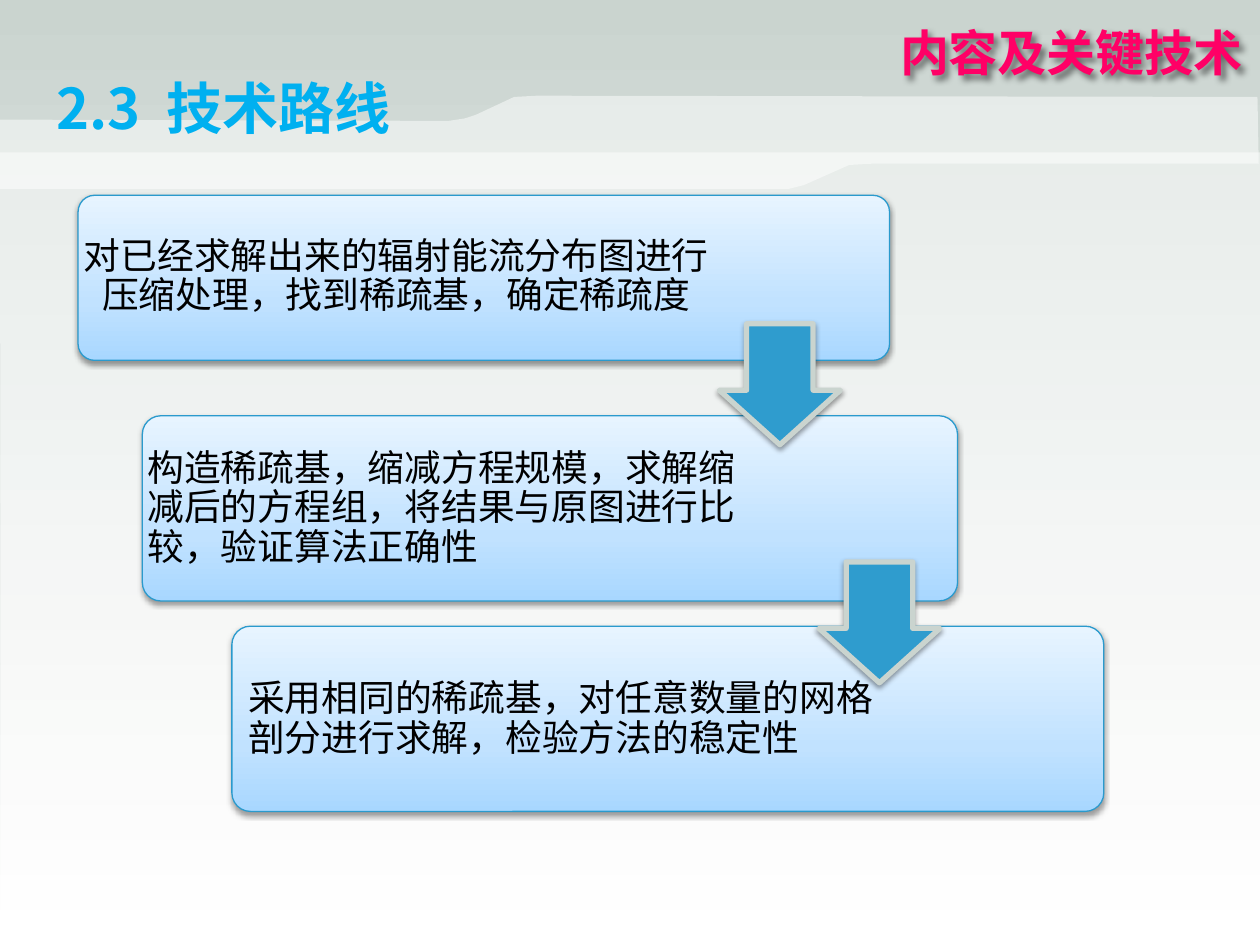
from copy import deepcopy
from dataclasses import dataclass

from lxml.etree import SubElement
from pptx import Presentation
from pptx.dml.color import RGBColor
from pptx.enum.shapes import MSO_SHAPE
from pptx.enum.text import MSO_ANCHOR, MSO_AUTO_SIZE, PP_ALIGN
from pptx.oxml.ns import qn
from pptx.util import Inches, Pt


@dataclass(frozen=True)
class Theme:
    font: str = "Noto Sans CJK SC"
    title_size: int = 32
    chapter_size: int = 28
    body_size: int = 21
    title: str = "00B0F0"
    chapter: str = "FF0066"
    body: str = "000000"
    mist: str = "CAD4CF"
    white: str = "FFFFFF"
    step_line: str = "2A9ACD"
    arrow: str = "2F9CCE"
    step_stops: tuple = ((0, "A8D7FF"), (0.35, "C1E2FF"), (1, "E7F4FF"))


THEME = Theme()
NO_INSETS = (0, 0, 0, 0)

# Box, text area, text inset, alignment and wording of each step
STEPS = [
    ((0.62, 1.55, 6.44, 1.31), (0.66, 1.58, 4.97, 1.24), 0, PP_ALIGN.CENTER,
     "对已经求解出来的辐射能流分布图进行压缩处理，找到稀疏基，确定稀疏度"),
    ((1.13, 3.3, 6.47, 1.47), (1.17, 3.35, 4.92, 1.38), 0, PP_ALIGN.LEFT,
     "构造稀疏基，缩减方程规模，求解缩减后的方程组，将结果与原图进行比较，验证算法正确性"),
    ((1.84, 4.97, 6.92, 1.47), (1.88, 5.02, 5.26, 1.38), 0.09, PP_ALIGN.LEFT,
     "采用相同的稀疏基，对任意数量的网格剖分进行求解，检验方法的稳定性"),
]
ARROWS = [(5.71, 2.57), (6.5, 4.46)]
ARROW_SIZE = 0.96

LOWER_VEIL = [(0.01, 7.49), (10.03, 7.5), (10, 1.21), (0, 1.21)]
HEADER_BAND = [
    (9.98, 0.77), (4.26, 0.76), (4.08, 0.77), (3.78, 0.91), (3.69, 0.94),
    (3.56, 0.96), (0, 0.95), (0, 1.5), (6.26, 1.5), (6.38, 1.47),
    (6.74, 1.31), (6.92, 1.3), (9.99, 1.3),
]


def color(value):
    return RGBColor.from_string(value)


def inches(values):
    return [Inches(value) for value in values]


def fill_gradient(fill, owner, stops, angle):
    """Fill with any number of stops; owner is the XML element holding the fill."""
    fill.gradient()
    fill.gradient_angle = angle
    stop_list = owner.find(".//" + qn("a:gsLst"))
    while len(stop_list) < len(stops):
        stop_list.append(deepcopy(stop_list[0]))
    for stop, (position, value) in zip(fill.gradient_stops, stops):
        stop.position = position
        stop.color.rgb = color(value)


def add_shadow(shape, opacity=38, blur=3.1, distance=1.6, direction=90):
    shape.shadow.inherit = False
    effects = shape.element.spPr.find(qn("a:effectLst"))
    shadow = SubElement(effects, qn("a:outerShdw"), blurRad=str(Pt(blur)),
                        dist=str(Pt(distance)), dir=str(direction * 60000),
                        algn="ctr", rotWithShape="0")
    black = SubElement(shadow, qn("a:srgbClr"), val="000000")
    SubElement(black, qn("a:alpha"), val=str(opacity * 1000))


def add_veil(slide, points):
    """Add a half-transparent white area of the backdrop."""
    start, *others = [inches(point) for point in points]
    builder = slide.shapes.build_freeform(*start)
    builder.add_line_segments(others, close=True)
    veil = builder.convert_to_shape()
    veil.shadow.inherit = False
    veil.line.fill.background()
    veil.fill.solid()
    veil.fill.fore_color.rgb = color(THEME.white)
    SubElement(veil.element.spPr.find(".//" + qn("a:srgbClr")), qn("a:alpha"), val="50000")


def set_frame(shape, insets):
    frame = shape.text_frame
    frame.word_wrap = True
    frame.auto_size = MSO_AUTO_SIZE.NONE
    frame.vertical_anchor = MSO_ANCHOR.MIDDLE
    (frame.margin_left, frame.margin_top,
     frame.margin_right, frame.margin_bottom) = inches(insets)
    return frame.paragraphs[0]


def add_run(paragraph, text, size, value, bold=False):
    run = paragraph.add_run()
    run.text = text
    run.font.size = Pt(size)
    run.font.bold = bold
    run.font.color.rgb = color(value)
    run.font.name = THEME.font
    SubElement(run.font._element, qn("a:ea"), typeface=THEME.font)
    return run


def add_title(slide):
    title = slide.shapes.title
    title.left, title.top, title.width, title.height = inches((0.35, 0.3, 8.9, 1.1))
    title.element.getparent().append(title.element)  # in front of the veils
    paragraph = set_frame(title, (0.1, 0.05, 0.1, 0.05))
    paragraph.alignment = PP_ALIGN.LEFT
    number, gap, name = [add_run(paragraph, text, THEME.title_size, THEME.title, True)
                         for text in ("2.3", " ", "技术路线")]
    gap.font._element.set("spc", "700")


def add_chapter(slide):
    chapter = slide.shapes.add_textbox(*inches((6.27, -0.03, 3.69, 0.94)))
    add_shadow(chapter, opacity=50, blur=4, distance=3, direction=45)
    paragraph = set_frame(chapter, (0.1, 0, 0.1, 0.05))
    paragraph.alignment = PP_ALIGN.RIGHT
    add_run(paragraph, "内容及关键技术", THEME.chapter_size, THEME.chapter, True)


def add_step(slide, box, text_area, inset, alignment, text):
    step = slide.shapes.add_shape(MSO_SHAPE.ROUNDED_RECTANGLE, *inches(box))
    step.adjustments[0] = 0.1
    fill_gradient(step.fill, step.element.spPr, THEME.step_stops, 90)
    step.line.color.rgb = color(THEME.step_line)
    step.line.width = Pt(0.75)
    add_shadow(step)

    label = slide.shapes.add_textbox(*inches(text_area))
    paragraph = set_frame(label, (inset,) * 4)
    paragraph.alignment = alignment
    paragraph.line_spacing = 0.9
    add_run(paragraph, text, THEME.body_size, THEME.body)


def add_arrow(slide, left, top):
    arrow = slide.shapes.add_shape(
        MSO_SHAPE.DOWN_ARROW, *inches((left, top, ARROW_SIZE, ARROW_SIZE)))
    arrow.adjustments[0] = 0.55
    arrow.adjustments[1] = 0.45
    arrow.fill.solid()
    arrow.fill.fore_color.rgb = color(THEME.arrow)
    arrow.line.color.rgb = color(THEME.mist)
    arrow.line.width = Pt(3)
    add_shadow(arrow)


def main():
    deck = Presentation()
    deck.slide_width, deck.slide_height = Inches(10), Inches(7.5)
    slide = deck.slides.add_slide(deck.slide_layouts[5])
    fill_gradient(slide.background.fill, slide.element,
                  ((0, THEME.mist), (1, THEME.white)), 270)
    for points in (LOWER_VEIL, HEADER_BAND):
        add_veil(slide, points)
    add_title(slide)
    for step in STEPS:
        add_step(slide, *step)
    for position in ARROWS:
        add_arrow(slide, *position)
    add_chapter(slide)
    deck.save("out.pptx")


if __name__ == "__main__":
    main()
